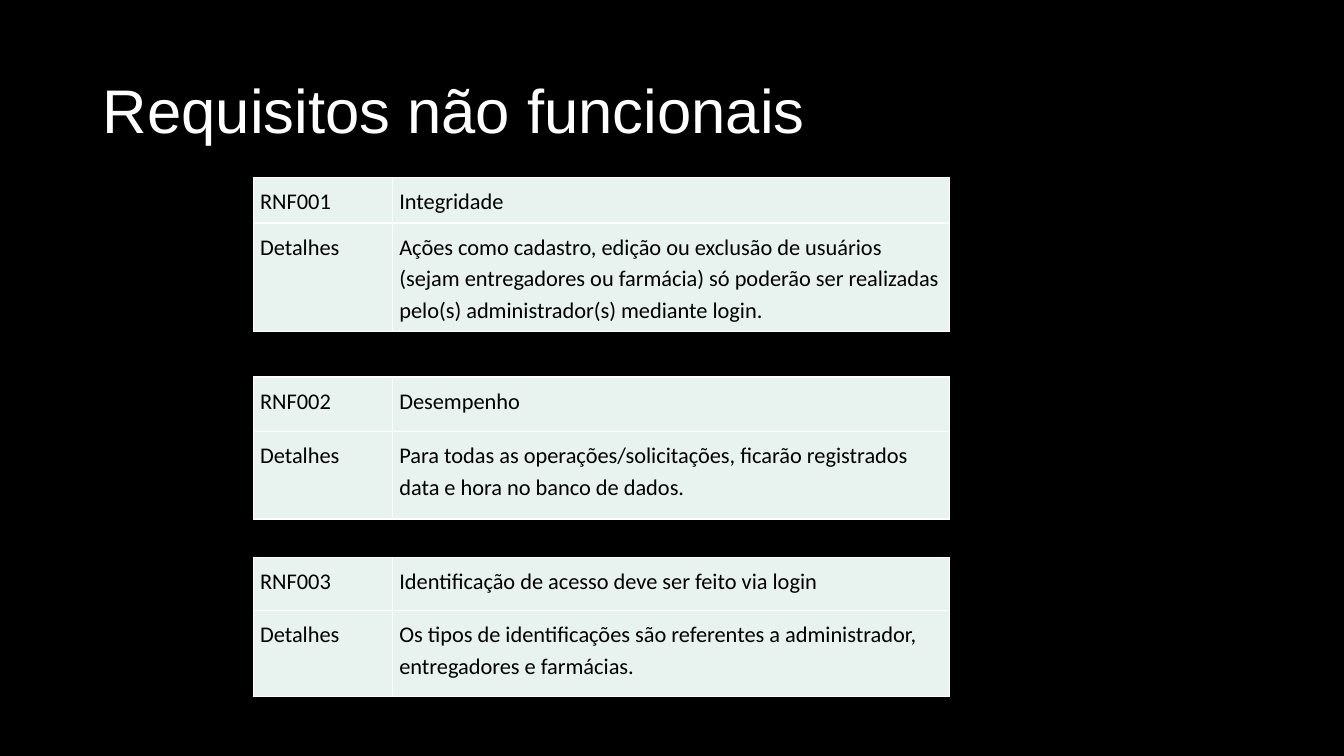
from dataclasses import dataclass

from lxml import etree
from pptx import Presentation
from pptx import util as u
from pptx.dml.color import RGBColor
from pptx.enum import text
from pptx.oxml import ns


@dataclass(frozen=True)
class Theme:
    """Colours, fonts and sizes of the deck."""
    background: str = "000000"
    light: str = "FFFFFF"
    dark: str = "000000"
    cell: str = "E8F2EE"
    title_font: str = "Arial"
    body_font: str = "Calibri"
    title_size: int = 44
    body_size: int = 16
    border: float = 1


@dataclass(frozen=True)
class Box:
    """A region in EMU."""
    left: int
    top: int
    width: int
    height: int

    def region(self, left, top, width, height):
        """Return a region given in percent of this one."""
        return Box(self.left + round(self.width * left / 100),
                   self.top + round(self.height * top / 100),
                   round(self.width * width / 100),
                   round(self.height * height / 100))


THEME = Theme()
WIDTH, HEIGHT = u.Inches(13.33), u.Inches(7.5)
TABLE_LEFT, TABLE_WIDTH = 18.83, 51.8
LABEL_SHARE = 0.2
REQUIREMENTS = [
    (23.47, (6, 13.87), "RNF001", "Integridade",
     "Ações como cadastro, edição ou exclusão de usuários (sejam entregadores "
     "ou farmácia) só poderão ser realizadas pelo(s) administrador(s) mediante login."),
    (49.87, (7.2, 11.6), "RNF002", "Desempenho",
     "Para todas as operações/solicitações, ficarão registrados data e hora "
     "no banco de dados."),
    (73.73, (7, 11.4), "RNF003", "Identificação de acesso deve ser feito via login",
     "Os tipos de identificações são referentes a administrador, "
     "entregadores e farmácias."),
]


def write(frame, words, *, font, size, color, spacing):
    """Write one left-aligned paragraph into a text frame."""
    para = frame.paragraphs[0]
    para.alignment = text.PP_ALIGN.LEFT
    para.line_spacing = spacing
    span = para.add_run()
    span.text = words
    span.font.name = font
    span.font.size = u.Pt(size)
    span.font.bold = False
    span.font.color.rgb = RGBColor.from_string(color)


def add_borders(cell):
    """Draw a solid line on each side of a cell."""
    properties = cell._tc.get_or_add_tcPr()
    for place, side in enumerate(("lnL", "lnR", "lnT", "lnB")):
        line = etree.Element(ns.qn(f"a:{side}"), w=str(u.Pt(THEME.border)))
        fill = etree.SubElement(line, ns.qn("a:solidFill"))
        etree.SubElement(fill, ns.qn("a:srgbClr"), val=THEME.light)
        properties.insert(place, line)


def add_title(page, box, words):
    """Place and format the title placeholder."""
    title = page.shapes.title
    title.left, title.top, title.width, title.height = (
        box.left, box.top, box.width, box.height)
    title.text_frame.vertical_anchor = text.MSO_ANCHOR.MIDDLE
    write(title.text_frame, words, font=THEME.title_font,
          size=THEME.title_size, color=THEME.light, spacing=0.9)


def add_requirement(page, box, row_shares, rows):
    """Add the table of one requirement, with rows shared out in the box."""
    table = page.shapes.add_table(
        len(rows), 2, box.left, box.top, box.width, box.height).table
    table.first_row = table.horz_banding = False
    table.columns[0].width = round(box.width * LABEL_SHARE)
    table.columns[1].width = box.width - table.columns[0].width
    for row, share, words in zip(table.rows, row_shares, rows):
        row.height = round(box.height * share / sum(row_shares))
        for cell, entry in zip(row.cells, words):
            cell.margin_left = cell.margin_right = u.Inches(0.07)
            cell.margin_top = cell.margin_bottom = u.Inches(0.07)
            cell.fill.solid()
            cell.fill.fore_color.rgb = RGBColor.from_string(THEME.cell)
            add_borders(cell)
            write(cell.text_frame, entry, font=THEME.body_font,
                  size=THEME.body_size, color=THEME.dark, spacing=1.15)


def add_requirements_page(deck, box):
    """Add the slide with its title and requirement tables."""
    page = deck.slides.add_slide(deck.slide_layouts[5])
    page.background.fill.solid()
    page.background.fill.fore_color.rgb = RGBColor.from_string(THEME.background)
    add_title(page, box.region(6.9, 5.33, 86.25, 19.33), "Requisitos não funcionais")
    for top, row_shares, code, name, details in REQUIREMENTS:
        area = box.region(TABLE_LEFT, top, TABLE_WIDTH, sum(row_shares))
        add_requirement(page, area, row_shares,
                        [(code, name), ("Detalhes", details)])


def main():
    """Build and save the deck."""
    deck = Presentation()
    deck.slide_width, deck.slide_height = WIDTH, HEIGHT
    add_requirements_page(deck, Box(0, 0, WIDTH, HEIGHT))
    deck.save("out.pptx")


if __name__ == "__main__":
    main()
